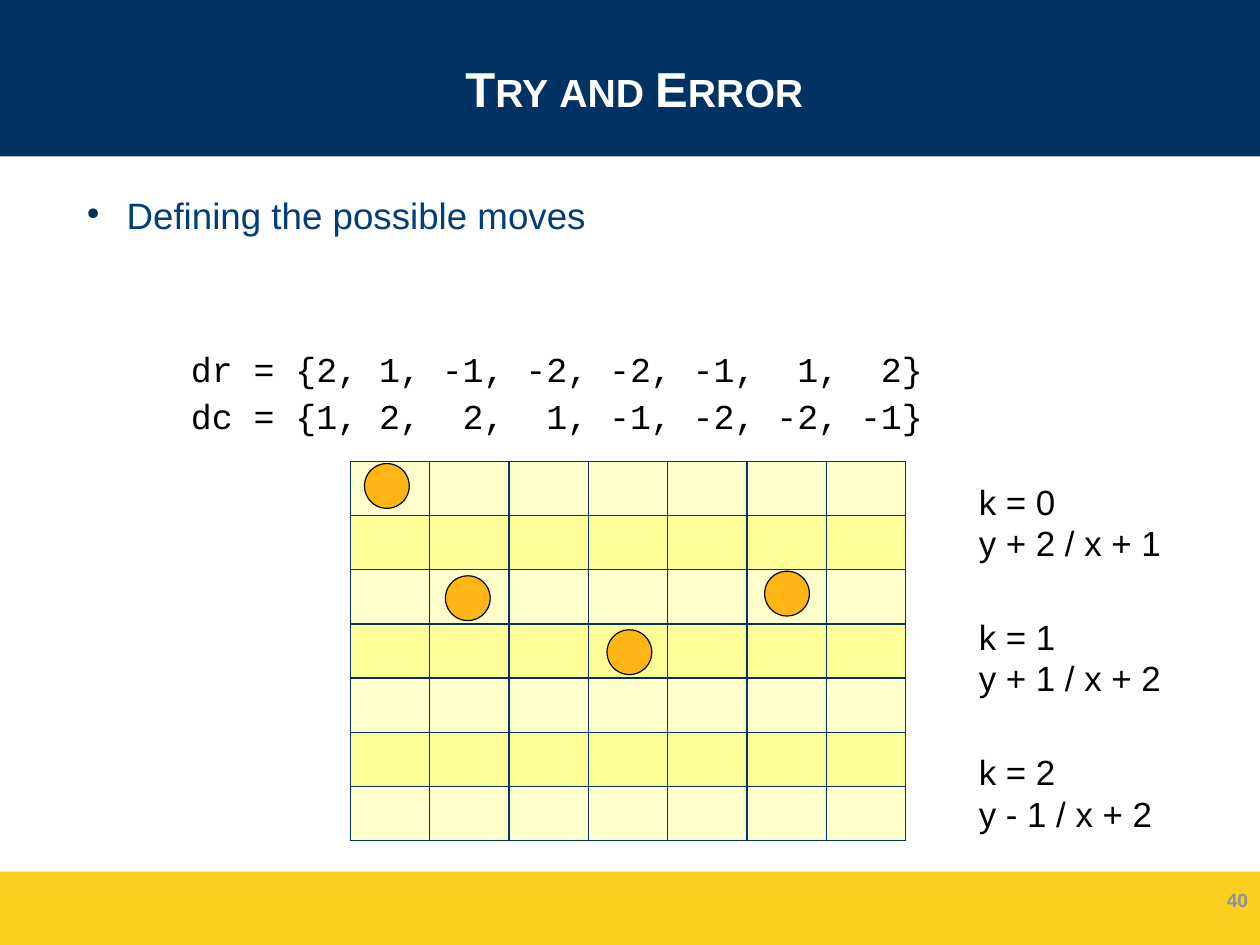
from lxml import etree
from pptx import Presentation
from pptx.dml.color import RGBColor
from pptx.enum.shapes import MSO_SHAPE
from pptx.enum.text import MSO_ANCHOR, MSO_AUTO_SIZE, PP_ALIGN
from pptx.oxml import parse_xml
from pptx.oxml.ns import nsdecls, qn
from pptx.util import Pt

RECT, OVAL = MSO_SHAPE.RECTANGLE, MSO_SHAPE.OVAL
TOP, MIDDLE = MSO_ANCHOR.TOP, MSO_ANCHOR.MIDDLE
LEFT, CENTER, RIGHT = PP_ALIGN.LEFT, PP_ALIGN.CENTER, PP_ALIGN.RIGHT
FIXED = MSO_AUTO_SIZE.NONE

NAVY = RGBColor(0x00, 0x32, 0x64)
BLUE = RGBColor(0x00, 0x3D, 0x7C)
GRID = RGBColor(0x00, 0x33, 0x66)
GOLD = RGBColor(0xFB, 0xCE, 0x20)
AMBER = RGBColor(0xFF, 0xB5, 0x15)
PALE = RGBColor(0xFF, 0xFF, 0xCC)
LEMON = RGBColor(0xFF, 0xFF, 0x99)
GRAY = RGBColor(0x8C, 0x90, 0xA0)
WHITE = RGBColor(0xFF, 0xFF, 0xFF)
BLACK = RGBColor(0x00, 0x00, 0x00)

WIDTH, HEIGHT = 793.75, 595.25
FOOT = 46.25
SIDE = 7

CODE = """dr = {2, 1, -1, -2, -2, -1,  1,  2}
dc = {1, 2,  2,  1, -1, -2, -2, -1}"""
NOTES = (
    "k = 0\ny + 2 / x + 1",
    "k = 1\ny + 1 / x + 2",
    "k = 2\ny - 1 / x + 2",
)
DISCS = ((229.6, 292), (280.6, 362.7), (382.4, 396.7), (481.7, 359.8))


def write(frame, text, size=22, color=BLACK, font="Arial", bold=False,
          align=LEFT, anchor=TOP, top=3.6, space=None, wrap=True, bullet=False):
    frame.word_wrap = wrap
    frame.auto_size = FIXED
    frame.vertical_anchor = anchor
    frame.margin_left = frame.margin_right = Pt(7.2)
    frame.margin_top, frame.margin_bottom = Pt(top), Pt(3.6)
    frame.text = text
    for para in frame.paragraphs:
        para.alignment = align
        if space:
            para.line_spacing = space
        if bullet:
            mark(para)
        for run in para.runs:
            run.font.name = font
            run.font.size = Pt(size)
            run.font.bold = bold
            run.font.color.rgb = color


def mark(para):
    props = para._p.get_or_add_pPr()
    props.set("marL", str(Pt(33.8)))
    props.set("indent", str(Pt(-25.2)))
    tint = etree.SubElement(props, qn("a:buClr"))
    etree.SubElement(tint, qn("a:srgbClr"), val=str(NAVY))
    etree.SubElement(props, qn("a:buSzPct"), val="45000")
    etree.SubElement(props, qn("a:buChar"), char="●")


def add_text(slide, text, x, y, w, h, **form):
    box = slide.shapes.add_textbox(Pt(x), Pt(y), Pt(w), Pt(h))
    write(box.text_frame, text, **form)


def add_form(slide, kind, x, y, w, h, fill, line=None):
    form = slide.shapes.add_shape(kind, Pt(x), Pt(y), Pt(w), Pt(h))
    form.shadow.inherit = False
    form.fill.solid()
    form.fill.fore_color.rgb = fill
    if line is None:
        form.line.fill.background()
    else:
        form.line.color.rgb = line
        form.line.width = Pt(0.75)


def add_title(slide, text):
    title = slide.shapes.title
    title.left, title.top = Pt(38.6), Pt(12.7)
    title.width, title.height = Pt(722.2), Pt(85.7)
    write(title.text_frame, text, size=30.9, color=WHITE, bold=True,
          align=CENTER, anchor=MIDDLE, top=2.9)
    run = title.text_frame.paragraphs[0].runs[0]
    run.font._element.set("cap", "small")
    title.element.getparent().append(title.element)


def rule(cell):
    props = cell._tc.get_or_add_tcPr()
    for edge in ("lnL", "lnR", "lnT", "lnB"):
        props.append(parse_xml(
            f'<a:{edge} {nsdecls("a")} w="{Pt(1)}"><a:solidFill>'
            f'<a:srgbClr val="{GRID}"/></a:solidFill></a:{edge}>'))


def add_board(slide, x, y, w, h):
    board = slide.shapes.add_table(SIDE, SIDE, Pt(x), Pt(y), Pt(w), Pt(h)).table
    for col in board.columns:
        col.width = Pt(w / SIDE)
    for index, row in enumerate(board.rows):
        row.height = Pt(h / SIDE)
        for cell in row.cells:
            rule(cell)
            cell.fill.solid()
            cell.fill.fore_color.rgb = LEMON if index % 2 else PALE


def main():
    deck = Presentation()
    deck.slide_width, deck.slide_height = Pt(WIDTH), Pt(HEIGHT)
    slide = deck.slides.add_slide(deck.slide_layouts[5])

    add_form(slide, RECT, 0, HEIGHT - FOOT, WIDTH, FOOT, GOLD)
    add_form(slide, RECT, 0, 0, WIDTH, 98.6, NAVY)
    add_title(slide, "Try and Error")
    add_text(slide, "Defining the possible moves", 38.9, 117.8, 722, 40,
             size=23.1, color=BLUE, bullet=True)
    add_text(slide, "40", 608.4, 551.5, 185, 31.7, size=12, color=GRAY,
             bold=True, align=RIGHT, anchor=MIDDLE, space=0.93)
    add_text(slide, CODE, 113.2, 212.4, 477, 66.2, font="Courier New",
             space=1.12, wrap=False)

    add_board(slide, 220.8, 290.6, 350, 239)
    for x, y in DISCS:
        add_form(slide, OVAL, x, y, 28.2, 28.2, AMBER, BLACK)
    for index, note in enumerate(NOTES):
        add_text(slide, note, 609.5, 297.4 + 85.1 * index, 142, 56.2, top=5)

    deck.save("out.pptx")


if __name__ == "__main__":
    main()
